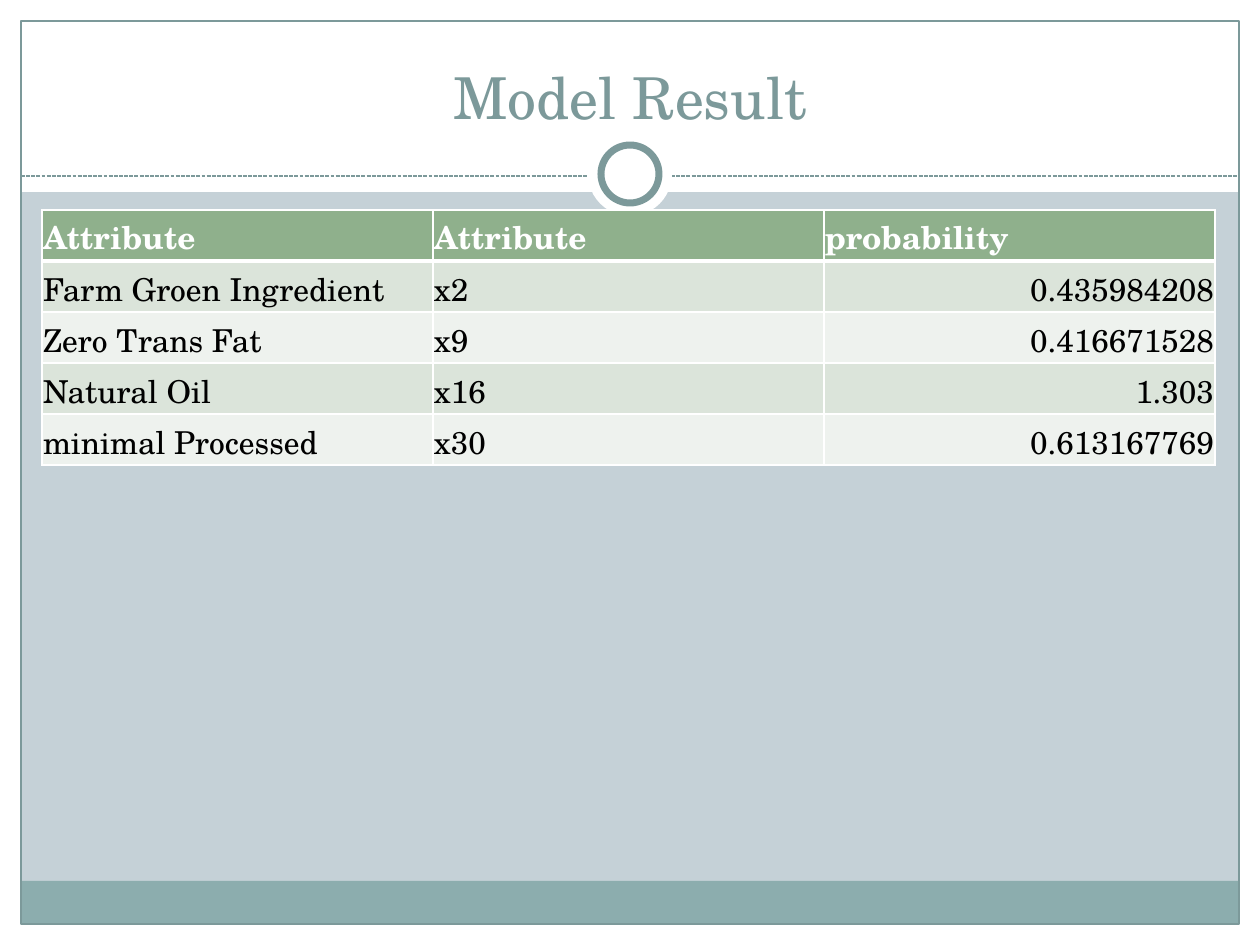
from lxml import etree
from pptx import Presentation
from pptx.dml.color import RGBColor
from pptx.enum.dml import MSO_LINE
from pptx.enum.shapes import MSO_CONNECTOR, MSO_SHAPE
from pptx.enum.text import MSO_ANCHOR, PP_ALIGN
from pptx.oxml.ns import qn
from pptx.util import Pt

RECTANGLE, OVAL = MSO_SHAPE.RECTANGLE, MSO_SHAPE.OVAL
STRAIGHT, DASHED = MSO_CONNECTOR.STRAIGHT, MSO_LINE.SQUARE_DOT
BOTTOM = MSO_ANCHOR.BOTTOM
LEFT, CENTER, RIGHT = PP_ALIGN.LEFT, PP_ALIGN.CENTER, PP_ALIGN.RIGHT

WHITE = RGBColor(0xFF, 0xFF, 0xFF)
BLACK = RGBColor(0, 0, 0)
BACKGROUND = RGBColor(0xC5, 0xD1, 0xD7)
TEAL = RGBColor(0x7C, 0x99, 0x9A)
FOOTER = RGBColor(0x8C, 0xAD, 0xAE)
HEADER_GREEN = RGBColor(0x8F, 0xB0, 0x8C)
BANDS = (RGBColor(0xDB, 0xE4, 0xDA), RGBColor(0xEE, 0xF2, 0xEE))

PIXEL = 914400 // 126
WIDTH, HEIGHT = 1260, 945
MARGIN = 21
FONT = "TeX Gyre Schola"

TITLE = "Model Result"
TITLE_BOX = (42, 32, 1176, 105)
ROWS = [
    ("Attribute", "Attribute", "probability"),
    ("Farm Groen Ingredient", "x2", "0.435984208"),
    ("Zero Trans Fat", "x9", "0.416671528"),
    ("Natural Oil", "x16", "1.303"),
    ("minimal Processed", "x30", "0.613167769"),
]
TABLE_LEFT, TABLE_TOP = 42, 210
COLUMN_WIDTH, ROW_HEIGHT = 391, 51
RULE_Y = 176

# kind, box, fill, line colour, line width in points
FRAME = [
    (RECTANGLE, (0, HEIGHT - MARGIN, WIDTH, MARGIN), WHITE, None, 0),
    (RECTANGLE, (0, 0, WIDTH, 192), WHITE, None, 0),
    (RECTANGLE, (0, 0, MARGIN, HEIGHT), WHITE, None, 0),
    (RECTANGLE, (WIDTH - MARGIN, 0, MARGIN, HEIGHT), WHITE, None, 0),
    (RECTANGLE, (MARGIN, 881, WIDTH - 2 * MARGIN, 43), FOOTER, None, 0),
    (RECTANGLE, (MARGIN, MARGIN, WIDTH - 2 * MARGIN, HEIGHT - 2 * MARGIN), None, TEAL, 0.75),
]
RING = [
    (OVAL, (588, 132, 84, 84), WHITE, None, 0),
    (OVAL, (601, 145, 58, 58), WHITE, TEAL, 4),
]


def scale(values):
    """Turn pixels into EMU."""
    return [value * PIXEL for value in values]


def set_values(target, values):
    """Set attributes from a dict."""
    for name, value in values.items():
        setattr(target, name, value)


def add_shapes(slide, parts):
    """Add preset shapes with their fill and line."""
    for kind, box, fill, line, width in parts:
        shape = slide.shapes.add_shape(kind, *scale(box))
        shape.shadow.inherit = False
        for paint, colour in ((shape.fill, fill), (shape.line.fill, line)):
            if colour is None:
                paint.background()
            else:
                paint.solid()
                paint.fore_color.rgb = colour
        if line is not None:
            shape.line.width = Pt(width)


def add_rule(slide):
    """Add the dashed rule under the title."""
    rule = slide.shapes.add_connector(
        STRAIGHT, *scale((MARGIN, RULE_Y, WIDTH - MARGIN, RULE_Y)))
    rule.line.color.rgb = TEAL
    set_values(rule.line, {"width": Pt(0.75), "dash_style": DASHED})
    etree.SubElement(rule.element.spPr, qn("a:effectLst"))


def write(frame, text, alignment, size, colour, bold=False):
    """Write one formatted paragraph."""
    paragraph = frame.paragraphs[0]
    paragraph.alignment = alignment
    run = paragraph.add_run()
    run.text = text
    set_values(run.font, {"name": FONT, "size": Pt(size), "bold": bold})
    run.font.color.rgb = colour


def add_title(slide):
    """Place the title above the frame shapes."""
    title = slide.shapes.title
    title.element.getparent().append(title.element)
    set_values(title, dict(zip(("left", "top", "width", "height"), scale(TITLE_BOX))))
    set_values(title.text_frame, {"vertical_anchor": BOTTOM, "word_wrap": True})
    write(title.text_frame, TITLE, CENTER, 33, TEAL)


def set_borders(cell, bottom_width):
    """Draw white cell borders, ahead of the fill in the cell properties."""
    properties = cell._tc.get_or_add_tcPr()
    for index, side in enumerate("LRTB"):
        width = bottom_width if side == "B" else 1
        border = etree.Element(qn(f"a:ln{side}"), w=str(Pt(width)))
        fill = etree.SubElement(border, qn("a:solidFill"))
        etree.SubElement(fill, qn("a:srgbClr"), val=str(WHITE))
        properties.insert(index, border)


def add_table(slide):
    """Add the table of attributes and probabilities."""
    row_count, column_count = len(ROWS), len(ROWS[0])
    box = (TABLE_LEFT, TABLE_TOP, COLUMN_WIDTH * column_count, ROW_HEIGHT * row_count)
    table = slide.shapes.add_table(row_count, column_count, *scale(box)).table
    for row, texts in enumerate(ROWS):
        header = row == 0
        for column, text in enumerate(texts):
            cell = table.cell(row, column)
            set_values(cell, {
                "vertical_anchor": BOTTOM, "margin_left": PIXEL, "margin_right": PIXEL,
                "margin_top": PIXEL, "margin_bottom": 0})
            cell.fill.solid()
            cell.fill.fore_color.rgb = HEADER_GREEN if header else BANDS[(row - 1) % 2]
            set_borders(cell, 3 if row == 0 else 1)
            alignment = RIGHT if column == 2 and not header else LEFT
            write(cell.text_frame, text, alignment, 18, WHITE if header else BLACK, header)
            if row == 1:
                top = cell._tc.tcPr.find(qn("a:lnT"))
                top.set("w", str(Pt(3)))


def main():
    """Build and save the slide."""
    presentation = Presentation()
    set_values(presentation, {"slide_width": WIDTH * PIXEL, "slide_height": HEIGHT * PIXEL})
    slide = presentation.slides.add_slide(presentation.slide_layouts[5])
    slide.background.fill.solid()
    slide.background.fill.fore_color.rgb = BACKGROUND
    add_shapes(slide, FRAME)
    add_rule(slide)
    add_shapes(slide, RING)
    add_title(slide)
    add_table(slide)
    presentation.save("out.pptx")


main()
